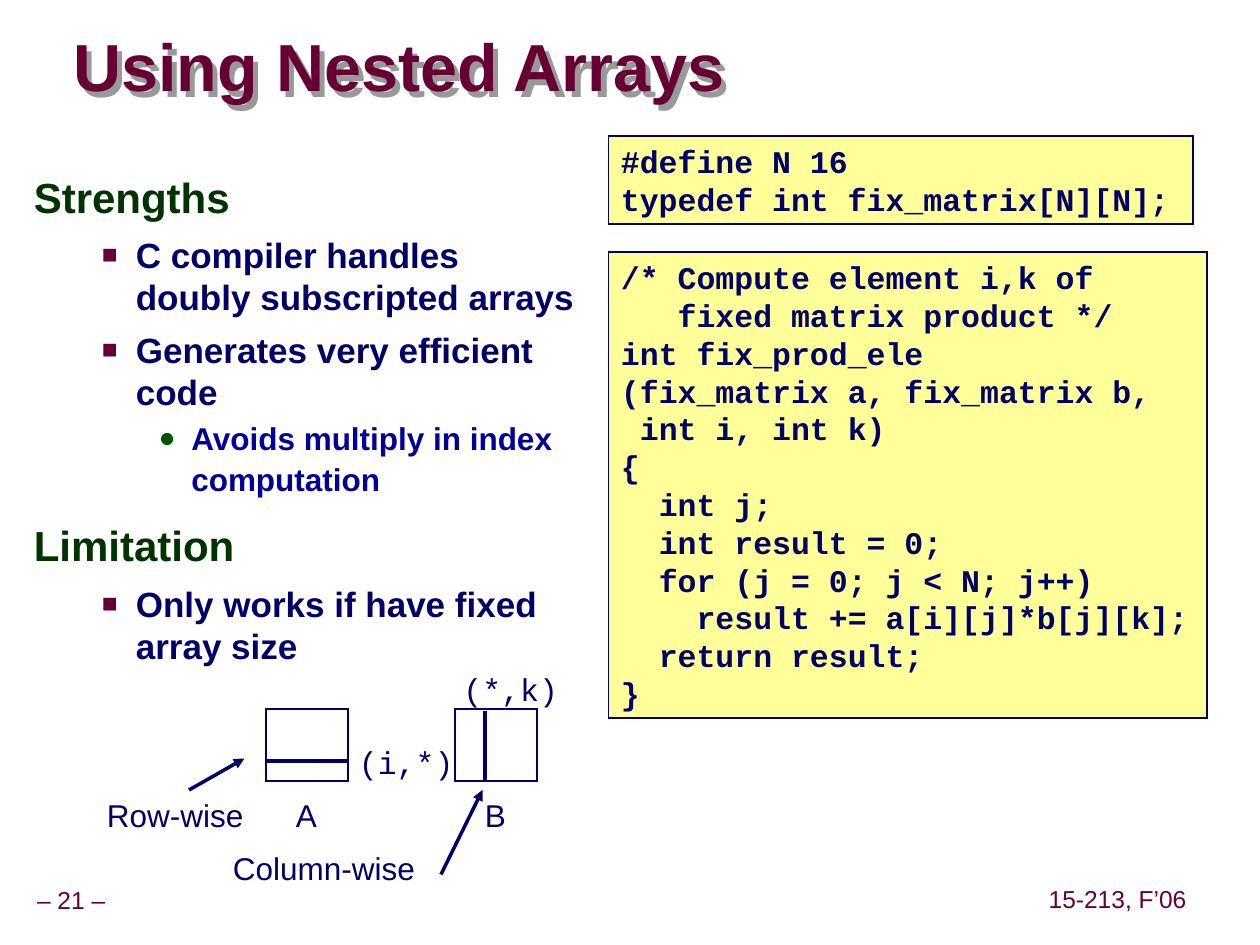
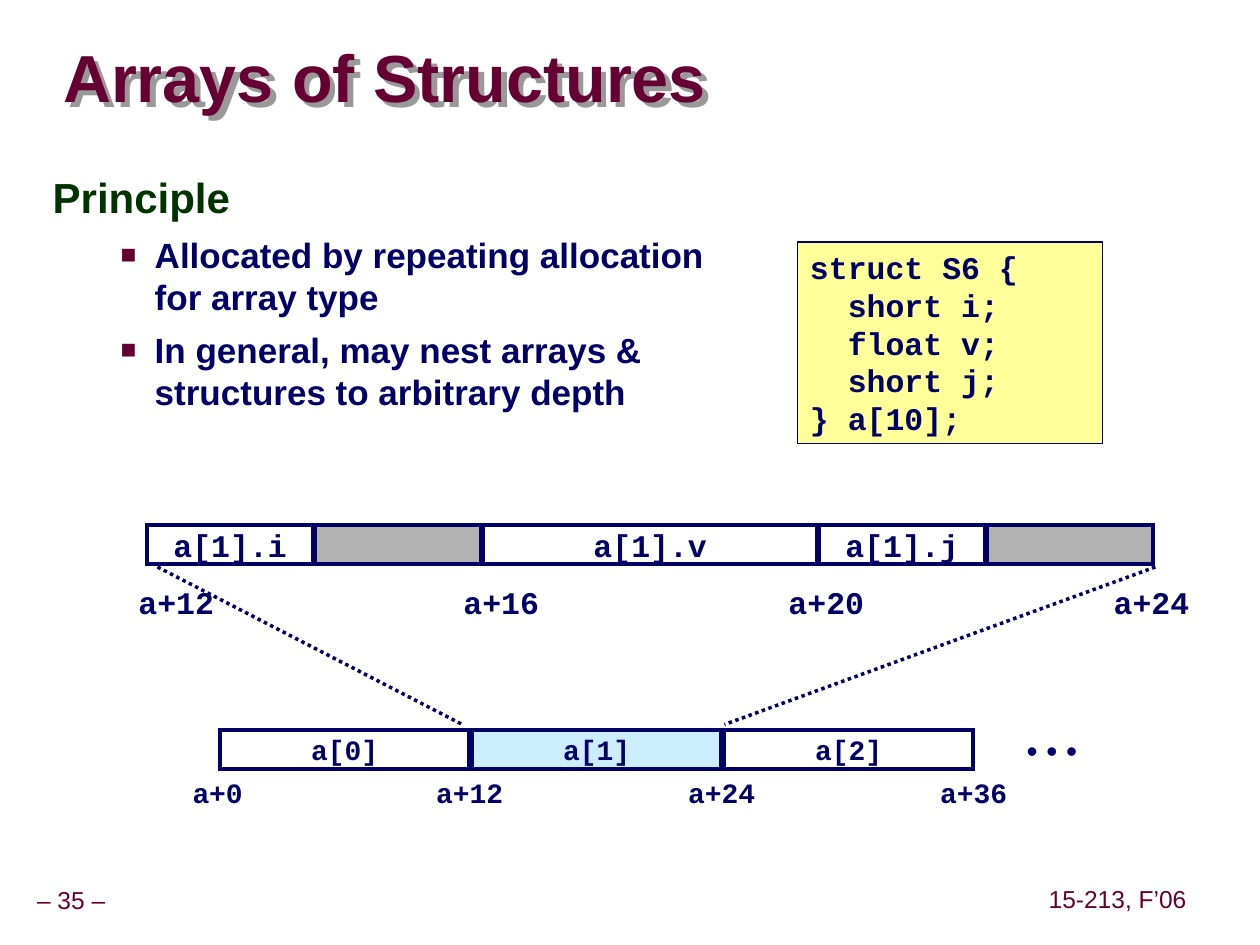
from lxml import etree
from pptx import Presentation
from pptx.dml.color import RGBColor
from pptx.enum.dml import MSO_LINE
from pptx.enum.shapes import MSO_CONNECTOR, MSO_SHAPE
from pptx.enum.text import MSO_ANCHOR, MSO_AUTO_SIZE, PP_ALIGN
from pptx.oxml.ns import qn
from pptx.util import Inches, Pt

MAROON = RGBColor(0x66, 0x00, 0x33)
NAVY = RGBColor(0x00, 0x00, 0x66)
BLUE = RGBColor(0x00, 0x00, 0x99)
DARK_GREEN = RGBColor(0x00, 0x33, 0x00)
GREEN = RGBColor(0x00, 0x54, 0x00)
YELLOW = RGBColor(0xFF, 0xFF, 0x99)
PALE_BLUE = RGBColor(0xCC, 0xEC, 0xFF)
GRAY = RGBColor(0xB2, 0xB2, 0xB2)
SHADOW = RGBColor(0x99, 0x99, 0x99)
WHITE = RGBColor(0xFF, 0xFF, 0xFF)

SANS, MONO = "Arial", "Courier New"

# Per outline level: size, colour, left margin, indent, line spacing, space before
OUTLINE = [
    (24, DARK_GREEN, 0.42, -0.42, 0.95, 15),
    (20, NAVY, 0.81, -0.27, 1.0, 6.2),
    (18, BLUE, 1.25, -0.26, 1.07, 2.2),
]
# Per outline level: character, colour, percentage of the text size
BULLETS = [None, ("■", MAROON, 75), ("●", GREEN, 90)]


def add_child(parent, tag, **attributes):
    child = etree.SubElement(parent, qn(tag))
    for name, value in attributes.items():
        child.set(name, str(value))
    return child


def set_font(paragraph, size, color, name=SANS, bold=False):
    font = paragraph.font
    font.name, font.size, font.bold = name, Pt(size), bold
    font.color.rgb = color


class Deck:
    """Holds the lecture's style and the slide being filled."""

    def __init__(self):
        self.presentation = Presentation()
        self.presentation.slide_width = Inches(10)
        self.presentation.slide_height = Inches(7.5)
        self.slide = None

    def new_slide(self, number, title, left, top, width):
        self.slide = self.presentation.slides.add_slide(
            self.presentation.slide_layouts[6])
        self.footer(f"– {number} –", -0.09, 7, 1.31)
        self.footer("15-213, F’06", 8.27, 6.99, 1.2)
        self.title(title, left, top, width)

    def text_frame(self, left, top, width, height, inset=None, wrap=True):
        box = self.slide.shapes.add_textbox(
            Inches(left), Inches(top), Inches(width), Inches(height))
        frame = box.text_frame
        frame.word_wrap = wrap
        if inset is not None:
            frame.margin_left = frame.margin_right = Inches(inset)
            frame.margin_top = frame.margin_bottom = Inches(inset)
        return box, frame

    def footer(self, text, left, top, width):
        _, frame = self.text_frame(left, top, width, 0.31, 0.05, wrap=False)
        frame.vertical_anchor = MSO_ANCHOR.MIDDLE
        line = frame.paragraphs[0]
        line.text, line.alignment, line.line_spacing = text, PP_ALIGN.CENTER, 0.9
        set_font(line, 14, MAROON)

    def title(self, text, left, top, width):
        """Adds the heading with its hard drop shadow."""
        box, frame = self.text_frame(left, top, width, 0.63, inset=0)
        frame.vertical_anchor = MSO_ANCHOR.MIDDLE
        heading = frame.paragraphs[0]
        heading.text, heading.line_spacing = text, 0.87
        set_font(heading, 38, MAROON, bold=True)
        effects = add_child(box._element.spPr, "a:effectLst")
        shadow = add_child(effects, "a:outerShdw", dist=Pt(4.25), dir=2700000)
        add_child(shadow, "a:srgbClr", val=SHADOW)

    def outline(self, left, width, entries):
        """Adds the bulleted body from (level, text) pairs."""
        _, frame = self.text_frame(left, 1.34, width, 5.71)
        for index, (level, text) in enumerate(entries):
            entry = frame.add_paragraph() if index else frame.paragraphs[0]
            size, color, margin, indent, spacing, before = OUTLINE[level]
            entry.text, entry.level, entry.line_spacing = text, level, spacing
            entry.space_before = Pt(before if index else 0)
            properties = entry._p.get_or_add_pPr()
            properties.set("marL", str(Inches(margin)))
            properties.set("indent", str(Inches(indent)))
            if BULLETS[level]:
                mark, mark_color, percent = BULLETS[level]
                add_child(add_child(properties, "a:buClr"), "a:srgbClr",
                          val=mark_color)
                add_child(properties, "a:buSzPct", val=percent * 1000)
                add_child(properties, "a:buFont", typeface=SANS)
                add_child(properties, "a:buChar", char=mark)
            else:
                add_child(properties, "a:buNone")
            set_font(entry, size, color, bold=True)

    def box(self, left, top, width, height, fill=WHITE, weight=1):
        """Adds a rectangle with a square-cornered navy outline."""
        rectangle = self.slide.shapes.add_shape(
            MSO_SHAPE.RECTANGLE,
            Inches(left), Inches(top), Inches(width), Inches(height))
        rectangle.shadow.inherit = False
        rectangle.fill.solid()
        rectangle.fill.fore_color.rgb = fill
        rectangle.line.color.rgb = NAVY
        rectangle.line.width = Pt(weight)
        add_child(rectangle.line._get_or_add_ln(), "a:miter", lim=800000)
        return rectangle

    def code(self, left, top, width, height, source):
        frame = self.box(left, top, width, height, YELLOW).text_frame
        frame.word_wrap = True
        frame.auto_size = MSO_AUTO_SIZE.SHAPE_TO_FIT_TEXT
        frame.vertical_anchor = MSO_ANCHOR.TOP
        for index, code_line in enumerate(source.splitlines()):
            line = frame.add_paragraph() if index else frame.paragraphs[0]
            line.text, line.alignment = code_line, PP_ALIGN.LEFT
            set_font(line, 18, NAVY, MONO, bold=True)

    def cell(self, left, top, width, text="", fill=WHITE, size=18):
        """Adds one memory cell, with its name centred if it has one."""
        frame = self.box(left, top, width, 0.31, fill, weight=2.25).text_frame
        if text:
            frame.word_wrap = False
            frame.vertical_anchor = MSO_ANCHOR.MIDDLE
            name = frame.paragraphs[0]
            name.text, name.alignment = text, PP_ALIGN.CENTER
            set_font(name, size, NAVY, MONO, bold=True)

    def label(self, text, left, top, width, font=SANS, size=18, bold=False):
        """Adds a one-line label; no right margin, so that it never breaks."""
        _, frame = self.text_frame(left, top, width, 0.4)
        frame.margin_right = 0
        frame.paragraphs[0].text = text
        set_font(frame.paragraphs[0], size, NAVY, font, bold)

    def line(self, start, end, arrow=False, dotted=False):
        connector = self.slide.shapes.add_connector(
            MSO_CONNECTOR.STRAIGHT, *map(Inches, start + end))
        connector.line.color.rgb = NAVY
        connector.line.width = Pt(2)
        if dotted:
            connector.line.dash_style = MSO_LINE.ROUND_DOT
        if arrow:
            add_child(connector.line._get_or_add_ln(), "a:tailEnd",
                      type="triangle")
        add_child(connector._element.spPr, "a:effectLst")


FIX_MATRIX = """\
#define N 16
typedef int fix_matrix[N][N];"""

FIX_PROD_ELE = """\
/* Compute element i,k of
   fixed matrix product */
int fix_prod_ele
(fix_matrix a, fix_matrix b,
 int i, int k)
{
  int j;
  int result = 0;
  for (j = 0; j < N; j++)
    result += a[i][j]*b[j][k];
  return result;
}"""

STRUCT_S6 = """\
struct S6 {
  short i;
  float v;
  short j;
} a[10];"""


def nested_arrays(deck):
    deck.new_slide(21, "Using Nested Arrays", 0.58, 0.25, 6.94)
    deck.outline(0.17, 4.5, [
        (0, "Strengths"),
        (1, "C compiler handles doubly subscripted arrays"),
        (1, "Generates very efficient code"),
        (2, "Avoids multiply in index computation"),
        (0, "Limitation"),
        (1, "Only works if have fixed array size"),
    ])
    deck.code(4.83, 1.08, 4.64, 0.7, FIX_MATRIX)
    deck.code(4.83, 2, 4.75, 3.7, FIX_PROD_ELE)

    for matrix, left in (("A", 2.11), ("B", 3.61)):
        deck.box(left, 5.63, 0.65, 0.57)
        deck.label(matrix, left + 0.14, 6.27, 0.37)
    deck.line((2.11, 6.04), (2.75, 6.04))
    deck.line((3.85, 5.64), (3.85, 6.2))
    deck.label("(i,*)", 2.75, 5.85, 0.95, MONO)
    deck.label("(*,k)", 3.58, 5.27, 0.95, MONO)
    deck.label("Row-wise", 0.75, 6.27, 1.28)
    deck.line((1.5, 6.27), (1.94, 6.02), arrow=True)
    deck.label("Column-wise", 1.75, 6.69, 1.64)
    deck.line((3.5, 6.94), (3.83, 6.27), arrow=True)


def arrays_of_structures(deck):
    deck.new_slide(35, "Arrays of Structures", 0.5, 0.33, 7.15)
    deck.outline(0.32, 5.8, [
        (0, "Principle"),
        (1, "Allocated by repeating allocation for array type"),
        (1, "In general, may nest arrays & structures to arbitrary depth"),
    ])
    deck.code(6.33, 1.92, 2.42, 1.6, STRUCT_S6)

    element_pitch = 2
    for index, fill in enumerate((WHITE, PALE_BLUE, WHITE)):
        deck.cell(1.75 + element_pitch * index, 5.79, 1.97,
                  f"a[{index}]", fill, size=16)
    for index in range(4):
        offset = f"a+{12 * index}"
        width = 0.2 + 0.4 * len(offset) / 3
        center = 1.73 + element_pitch * index
        deck.label(offset, center - width / 2, 6.11, width, MONO, 16, bold=True)
    deck.label("• • •", 8.05, 5.75, 0.6)

    deck.line((1.25, 4.5), (3.67, 5.75), dotted=True)
    deck.line((9.17, 4.5), (5.75, 5.75), dotted=True)

    two_bytes = 4 / 3
    slot = 0
    for field, span in (("a[1].i", 1), ("", 1), ("a[1].v", 2),
                        ("a[1].j", 1), ("", 1)):
        deck.cell(1.17 + two_bytes * slot, 4.17, two_bytes * span - 0.02,
                  field, WHITE if field else GRAY)
        slot += span
    for index in range(4):
        deck.label(f"a+{12 + 4 * index}", 1 + 2.58 * index, 4.58, 0.8,
                   MONO, bold=True)


def main():
    deck = Deck()
    nested_arrays(deck)
    arrays_of_structures(deck)
    deck.presentation.save("out.pptx")


if __name__ == "__main__":
    main()
